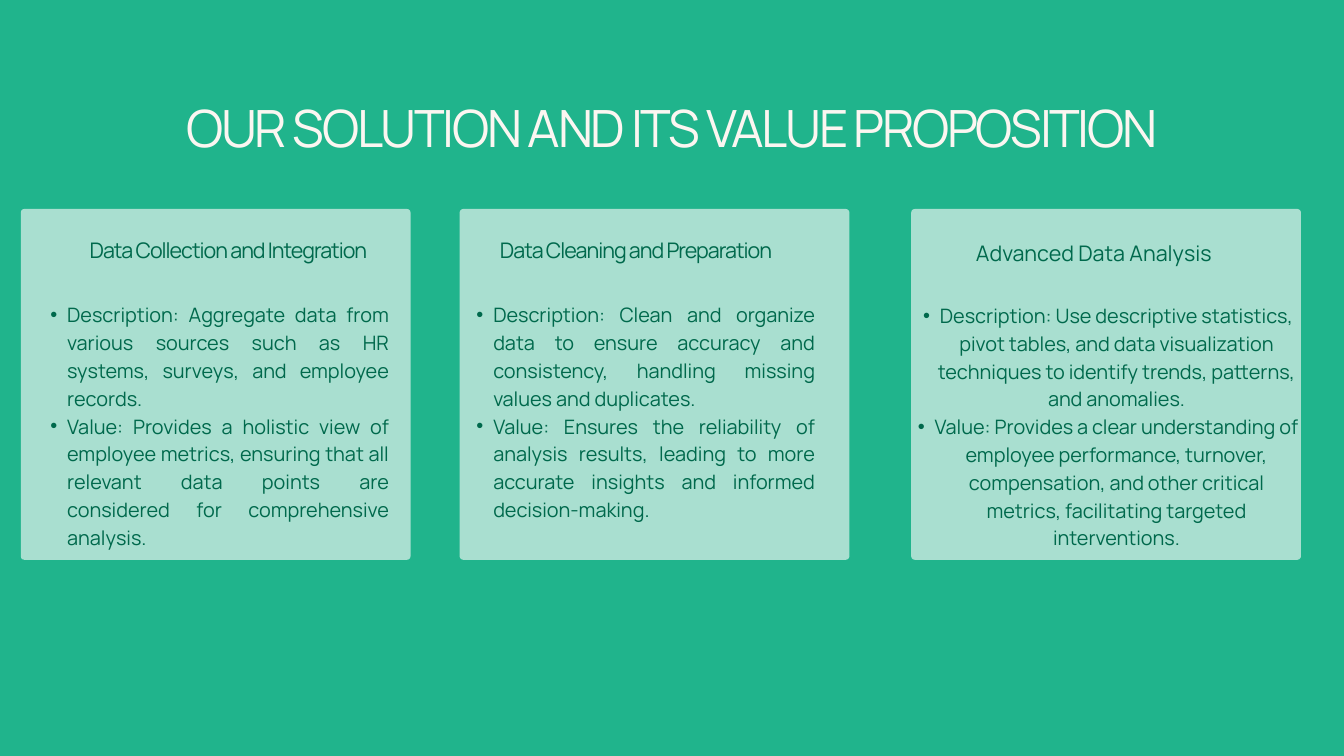
import pptx
import pptx.dml.color
import pptx.enum.shapes
import pptx.enum.text
import pptx.util
from lxml import etree

Inches = pptx.util.Inches
Pt = pptx.util.Pt
ALIGN = pptx.enum.text.PP_ALIGN

FONT = "Manrope"
GREEN, MINT, DARK, CREAM = "20B48C", "A9DFD0", "00694C", "FBF6F1"
CARD_TOP, CARD_W, CARD_H = 3.11, 5.8, 5.22

TITLE = "OUR SOLUTION AND ITS VALUE PROPOSITION"
CARDS = [
    {
        "left": 0.31,
        "heading": "Data Collection and Integration",
        "heading_at": (1.01, 3.63, 4.78, 0.31),
        "heading_line": 20.7,
        "spacing": -1.1,
        "body_at": (0.5, 4.45, 5.29, 4.06),
        "align": ALIGN.JUSTIFY,
        "points": [
            "Description: Aggregate data from various sources such as HR systems, surveys, and employee records.",
            "Value: Provides a holistic view of employee metrics, ensuring that all relevant data points are considered for comprehensive analysis.",
        ],
    },
    {
        "left": 6.84,
        "heading": "Data Cleaning and Preparation",
        "heading_at": (7.26, 3.63, 4.41, 0.31),
        "heading_line": 20.7,
        "spacing": -1.1,
        "body_at": (6.84, 4.45, 5.29, 3.66),
        "align": ALIGN.JUSTIFY,
        "points": [
            "Description: Clean and organize data to ensure accuracy and consistency, handling missing values and duplicates.",
            "Value: Ensures the reliability of analysis results, leading to more accurate insights and informed decision-making.",
        ],
    },
    {
        "left": 13.56,
        "heading": "Advanced Data Analysis",
        "heading_at": (13.38, 3.51, 5.8, 0.44),
        "heading_line": 32.2,
        "spacing": 0,
        "body_at": (13.38, 4.46, 5.97, 4.06),
        "align": ALIGN.CENTER,
        "points": [
            "Description: Use descriptive statistics, pivot tables, and data visualization techniques to identify trends, patterns, and anomalies.",
            "Value: Provides a clear understanding of employee performance, turnover, compensation, and other critical metrics, facilitating targeted interventions.",
        ],
    },
]


def color(value):
    return pptx.dml.color.RGBColor.from_string(value)


def add_bullet(p):
    pPr = p._p.get_or_add_pPr()
    pPr.set("marL", str(Inches(0.5)))
    pPr.set("indent", str(Inches(-0.25)))
    ns = pptx.oxml.ns.qn
    etree.SubElement(pPr, ns("a:buFont")).set("typeface", "Arial")
    etree.SubElement(pPr, ns("a:buChar")).set("char", "•")


def add_text(s, at, lines, size, fill, line, align, spacing=0, bullets=False):
    tf = s.shapes.add_textbox(*map(Inches, at)).text_frame
    tf.word_wrap = True
    tf.margin_left = tf.margin_right = tf.margin_top = tf.margin_bottom = 0
    for i, text in enumerate(lines):
        p = tf.add_paragraph() if i else tf.paragraphs[0]
        p.alignment = align
        p.line_spacing = Pt(line)
        if bullets:
            add_bullet(p)
        r = p.add_run()
        r.text = text
        r.font.name = FONT
        r.font.size = Pt(size)
        r.font.color.rgb = color(fill)
        if spacing:
            r._r.get_or_add_rPr().set("spc", str(round(spacing * 100)))


def add_card(s, card):
    sp = s.shapes.add_shape(
        pptx.enum.shapes.MSO_SHAPE.ROUNDED_RECTANGLE,
        Inches(card["left"]), Inches(CARD_TOP), Inches(CARD_W), Inches(CARD_H),
    )
    sp.adjustments[0] = 0.01
    sp.shadow.inherit = False
    sp.fill.solid()
    sp.fill.fore_color.rgb = color(MINT)
    sp.line.fill.background()
    add_text(s, card["heading_at"], [card["heading"]], 23, DARK,
             card["heading_line"], ALIGN.CENTER, card["spacing"])
    add_text(s, card["body_at"], card["points"], 21.3, DARK, 29.8,
             card["align"], bullets=True)


def main():
    prs = pptx.Presentation()
    prs.slide_width, prs.slide_height = Inches(20), Inches(11.25)
    s = prs.slides.add_slide(prs.slide_layouts[6])
    s.background.fill.solid()
    s.background.fill.fore_color.rgb = color(GREEN)
    add_text(s, (1.23, 1.66, 17.54, 0.75), [TITLE], 55, CREAM, 49.5,
             ALIGN.CENTER, -2.5)
    for card in CARDS:
        add_card(s, card)
    prs.save("out.pptx")


if __name__ == "__main__":
    main()
